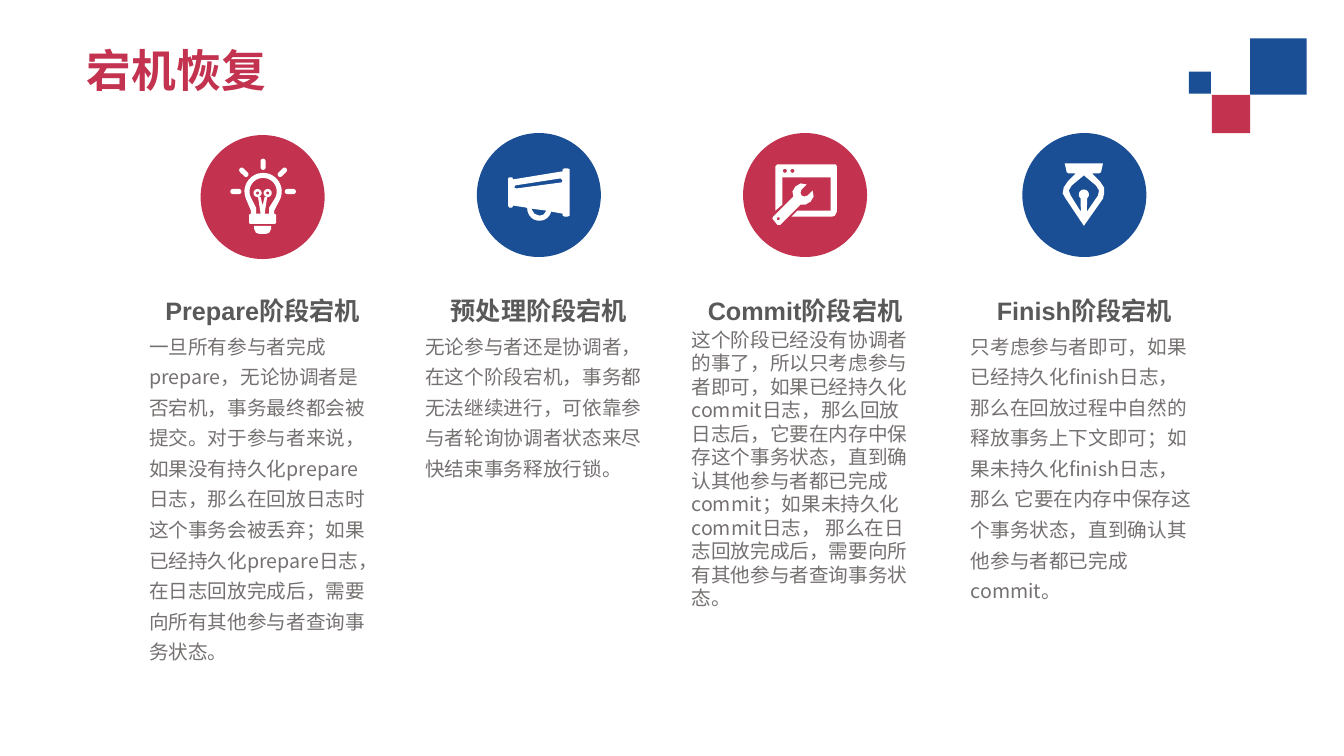
"""Build the crash recovery slide: four stages, each with an icon, a heading and a description."""
from math import cos, radians, sin

from pptx import Presentation
from pptx.dml.color import RGBColor
from pptx.enum.shapes import MSO_SHAPE
from pptx.enum.text import MSO_ANCHOR, MSO_AUTO_SIZE, PP_ALIGN
from pptx.util import Inches, Pt

BLUE = RGBColor(0x1A, 0x4E, 0x95)
RED = RGBColor(0xC3, 0x33, 0x4F)
WHITE = RGBColor(0xFF, 0xFF, 0xFF)
HEADING_GREY = RGBColor(0x59, 0x59, 0x59)
BODY_GREY = RGBColor(0x76, 0x71, 0x71)

COLUMN_WIDTH = 2.45
CIRCLE_SIZE = 1.23
ICON_UNIT = 0.01
PRECISION = 10


def arc(center_x, center_y, radius, start=0, end=360, steps=24):
    """Return points along a circular arc, in icon units and degrees."""
    angles = [radians(start + (end - start) * step / steps) for step in range(steps + 1)]
    return [(center_x + radius * cos(a), center_y + radius * sin(a)) for a in angles]


def add_filled_shape(shapes, kind, left, top, size, color):
    """Add a plain square-sized preset shape."""
    shape = shapes.add_shape(kind, Inches(left), Inches(top), Inches(size), Inches(size))
    shape.shadow.inherit = False
    shape.fill.solid()
    shape.fill.fore_color.rgb = color
    shape.line.fill.background()


bulb = [
    arc(62, 56, 18.5, 155, 385)
    + [(73, 75), (73, 78), (75, 79), (75, 87), (74, 88),
       (49, 88), (48, 87), (48, 79), (50, 78), (50, 75)],
    arc(62, 56, 13.5, 150, 390) + [(68, 72), (68, 78), (55, 78), (55, 72)],
    [(53, 90), (70, 90), (70, 93), (68, 97), (65, 98), (58, 98), (55, 97), (53, 93)],
    [(57, 61.5), (59.5, 61.5), (61.5, 70), (63.5, 61.5), (66, 61.5), (63.5, 78), (59.5, 78)],
]
for loop_x in (56.5, 66.5):
    bulb += [arc(loop_x, 57.5, 4), arc(loop_x, 57.5, 1.5)]
for angle in range(180, 361, 45):
    across, down = cos(radians(angle)), sin(radians(angle))
    bulb.append(arc(62 + 30 * across, 56 + 30 * down, 2.5, angle - 90, angle + 90)
                + arc(62 + 24 * across, 56 + 24 * down, 2.5, angle + 90, angle + 270))

megaphone = [
    [(31, 45), (32, 44), (35, 44), (36, 46), (85, 38), (85, 36), (87, 35), (90, 35),
     (92, 36), (92, 82), (90, 83), (87, 83), (85, 82), (85, 80), (74, 78)]
    + arc(62, 75, 12, 15, 180)
    + [(49, 74), (36, 72), (35, 74), (32, 74), (31, 72)],
    [(54, 75), (69, 77), (66, 81), (62, 82), (57, 80)],
    [(38, 52), (83, 45), (85, 47), (84, 49), (39, 55), (37, 54)],
]

window_and_wrench = [
    [(34, 31), (92, 31), (93, 33), (93, 78), (91, 82), (88, 83), (48, 83), (54, 77),
     (87, 77), (87, 44), (39, 44), (39, 71), (32, 77), (32, 33)],
    arc(41.5, 37.5, 2),
    arc(49, 37.5, 2),
    [(67, 68), (70, 63), (69, 57), (64, 62), (61, 63), (58, 62), (57, 59), (58, 56),
     (63, 51), (57, 50), (52, 53), (49, 58), (50, 63), (30, 83), (29, 85), (30, 86),
     (34, 91), (37, 91), (57, 71), (62, 71)],
    arc(35, 85, 1.5),
]

pen_nib = [
    [(42, 30), (80, 30), (78, 39), (76, 40), (69, 40), (77, 48), (81, 54), (81, 60),
     (80, 65), (61, 92), (43, 65), (40, 60), (41, 54), (45, 48), (53, 40), (46, 40), (44, 39)],
    [(61, 42), (73, 52), (76, 57), (75, 62), (64, 78)]
    + arc(61, 61, 5, 50, -230)
    + [(58, 78), (48, 62), (46, 57), (49, 52)],
]

stages = [
    (1.38, 1.34, RED, bulb, "Prepare阶段宕机", 1.3, 3.44,
     "一旦所有参与者完成prepare，无论协调者是否宕机，事务最终都会被提交。对于参与者来说，"
     "如果没有持久化prepare日志，那么在回放日志时这个事务会被丢弃；如果已经持久化prepare日志，"
     "在日志回放完成后，需要向所有其他参与者查询事务状态。"),
    (4.12, 1.32, BLUE, megaphone, "预处理阶段宕机", 1.3, 1.6,
     "无论参与者还是协调者，在这个阶段宕机，事务都无法继续进行，"
     "可依靠参与者轮询协调者状态来尽快结束事务释放行锁。"),
    (6.76, 1.32, RED, window_and_wrench, "Commit阶段宕机", 1.0, 2.93,
     "这个阶段已经没有协调者的事了，所以只考虑参与者即可，如果已经持久化commit日志，"
     "那么回放日志后，它要在内存中保存这个事务状态，直到确认其他参与者都已完成commit；"
     "如果未持久化commit日志， 那么在日志回放完成后，需要向所有其他参与者查询事务状态。"),
    (9.53, 1.32, BLUE, pen_nib, "Finish阶段宕机", 1.3, 2.52,
     "只考虑参与者即可，如果已经持久化finish日志，那么在回放过程中自然的释放事务上下文即可；"
     "如果未持久化finish日志，那么 它要在内存中保存这个事务状态，直到确认其他参与者都已完成commit。"),
]

presentation = Presentation()
presentation.slide_width = Inches(13.33)
presentation.slide_height = Inches(7.5)
slide = presentation.slides.add_slide(presentation.slide_layouts[5])
shapes = slide.shapes

title = shapes.title
title.left, title.top, title.width, title.height = map(Inches, (0.76, 0.37, 2, 0.64))
title.text_frame.text = "宕机恢复"
title.text_frame.word_wrap = False
title.text_frame.auto_size = MSO_AUTO_SIZE.NONE
title.text_frame.vertical_anchor = MSO_ANCHOR.TOP
title_paragraph = title.text_frame.paragraphs[0]
title_paragraph.alignment = PP_ALIGN.LEFT
title_paragraph.font.name = "Arial"
title_paragraph.font.size = Pt(32)
title_paragraph.font.bold = True
title_paragraph.font.color.rgb = RED

for left, top, size, color in [(12.4, 0.38, 0.56, BLUE), (12.02, 0.94, 0.38, RED),
                               (11.79, 0.71, 0.22, BLUE)]:
    add_filled_shape(shapes, MSO_SHAPE.RECTANGLE, left, top, size, color)

for left, circle_top, color, icon, heading, spacing, body_height, body in stages:
    circle_left = left + (COLUMN_WIDTH - CIRCLE_SIZE) / 2
    add_filled_shape(shapes, MSO_SHAPE.OVAL, circle_left, circle_top, CIRCLE_SIZE, color)

    builder = shapes.build_freeform(scale=Inches(ICON_UNIT) / PRECISION)
    for contour in icon:
        points = [(x * PRECISION, y * PRECISION) for x, y in contour]
        builder.move_to(*points[0])
        builder.add_line_segments(points[1:], close=True)
    icon_shape = builder.convert_to_shape(Inches(circle_left), Inches(circle_top))
    icon_shape.shadow.inherit = False
    icon_shape.fill.solid()
    icon_shape.fill.fore_color.rgb = WHITE
    icon_shape.line.fill.background()

    for text, top, height, alignment, line_spacing, font_name, size, bold, text_color in [
        (body, 3.2, body_height, PP_ALIGN.LEFT, spacing, "Noto Sans CJK SC", 14, False, BODY_GREY),
        (heading, 2.82, 0.44, PP_ALIGN.CENTER, 1.2, "Arial", 18, True, HEADING_GREY),
    ]:
        box = shapes.add_textbox(Inches(left), Inches(top), Inches(COLUMN_WIDTH), Inches(height))
        box.text_frame.word_wrap = True
        box.text_frame.text = text
        paragraph = box.text_frame.paragraphs[0]
        paragraph.alignment = alignment
        paragraph.line_spacing = line_spacing
        paragraph.font.name = font_name
        paragraph.font.size = Pt(size)
        paragraph.font.bold = bold
        paragraph.font.color.rgb = text_color

presentation.save("out.pptx")
